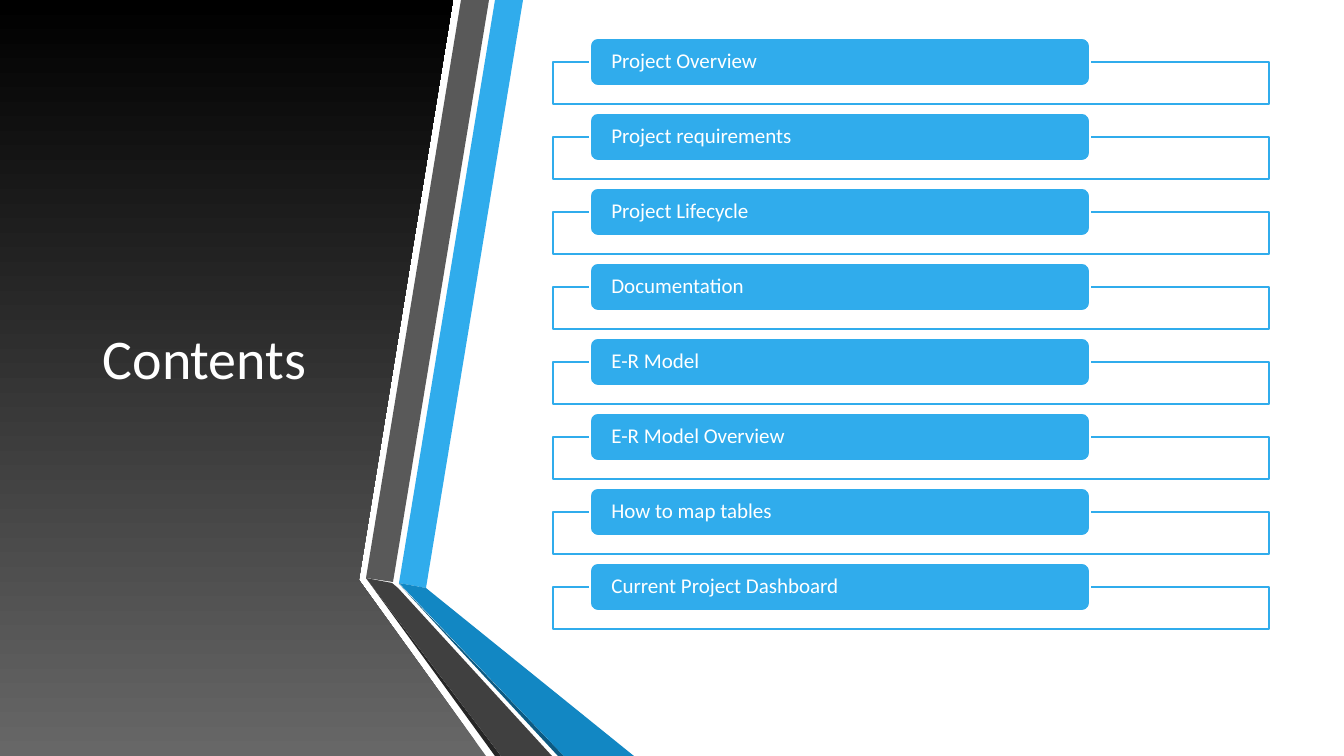
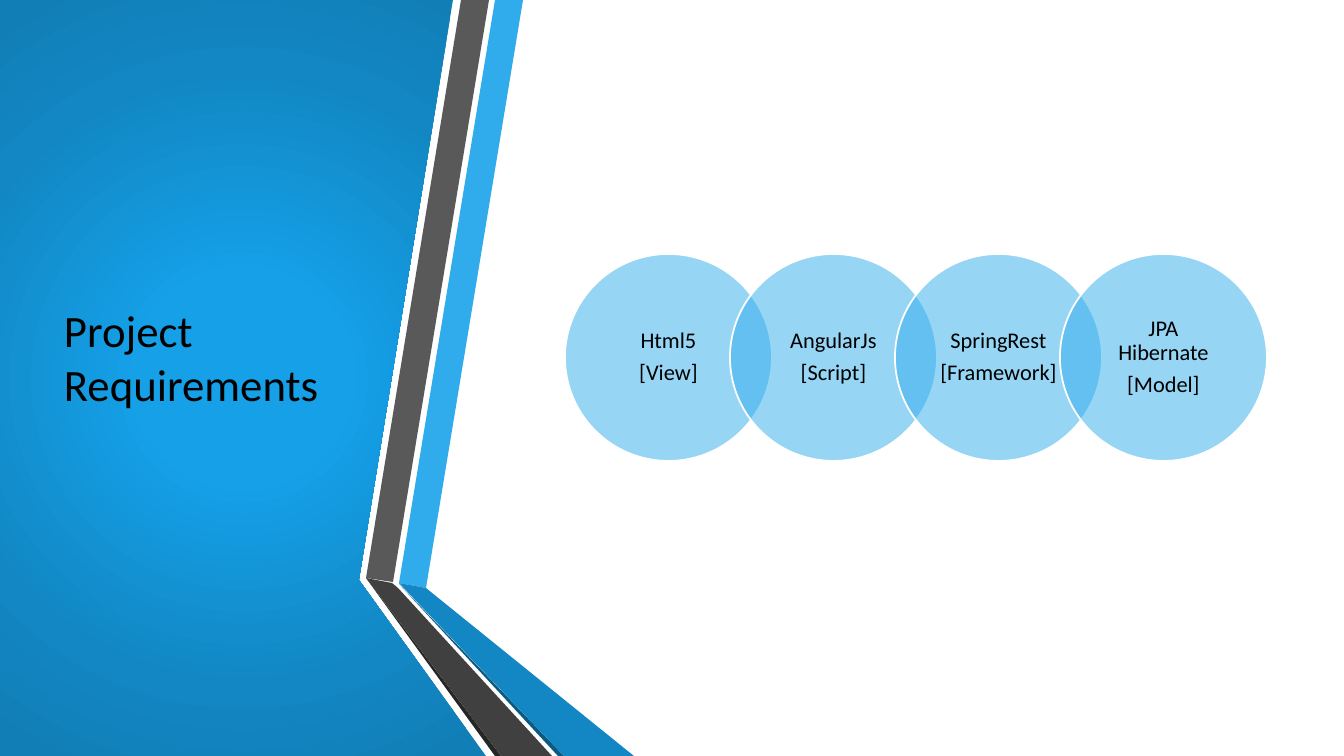
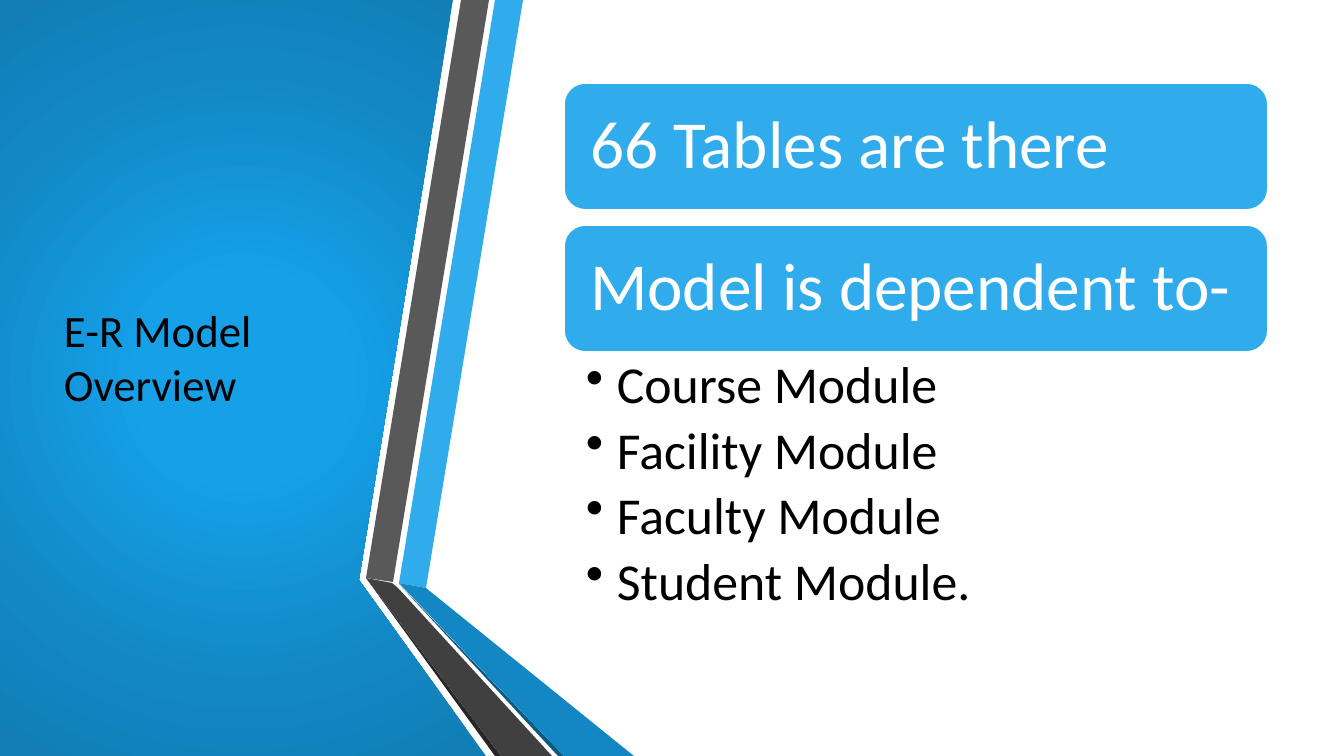
from lxml.etree import SubElement
from pptx import Presentation
from pptx.dml.color import RGBColor
from pptx.enum.shapes import MSO_SHAPE as Preset
from pptx.enum.text import MSO_ANCHOR as Anchor, PP_ALIGN as Align
from pptx.oxml import parse_xml
from pptx.oxml.ns import nsdecls, qn
from pptx.util import Pt

EMU_PER_PX = 914400 / 100.8
WIDTH, HEIGHT = 1344, 756
BLUE, WHITE, BLACK = "30ACEC", "FFFFFF", "000000"

DARK_PANEL = ([(0, "676767"), (100, BLACK)], '<a:lin ang="16200000" scaled="0"/>')
BLUE_PANEL = (
    [(0, "15A0E8"), (23, "15A0E8"), (69, "1287C3"), (97, "117EB6")],
    '<a:path path="circle"><a:fillToRect l="50000" t="50000" r="50000" b="50000"/></a:path>',
)
PANEL_OUTLINE = [(0, 0), (453, 0), (359, 580), (486, HEIGHT), (0, HEIGHT)]
RIBBONS = [
    (BLUE, [(399, 583), (426, 588), (523, 0), (495, 0)]),
    ("595959", [(489, 0), (461, 0), (366, 578), (393, 582)]),
    ("262626", [(366, 578), (495, HEIGHT), (501, HEIGHT)]),
    ("0C5A82", [(399, 584), (558, HEIGHT), (564, HEIGHT)]),
    ("1287C3", [(399, 583), (564, HEIGHT), (634, HEIGHT), (426, 588)]),
    ("404040", [(552, HEIGHT), (398, 588), (392, 583), (366, 578), (501, HEIGHT)]),
]


def px(length):
    return round(length * EMU_PER_PX)


def rgb(value):
    return RGBColor.from_string(value)


def apply(target, values):
    for name, value in values.items():
        setattr(target, name, value)


class Deck:
    def __init__(self):
        self.prs = Presentation()
        apply(self.prs, {"slide_width": px(WIDTH), "slide_height": px(HEIGHT)})
        self.slide = None

    def new_slide(self, title, panel, size=32, color=BLACK, align=Align.LEFT, box=(54, 76, 302, 562)):
        self.slide = self.prs.slides.add_slide(self.prs.slide_layouts[6])
        self.gradient(self.outline(PANEL_OUTLINE), *panel)
        for ribbon_color, points in RIBBONS:
            self.outline(points, ribbon_color)
        self.text_box(box, [title], size, color, align=align)

    def outline(self, points, fill=WHITE):
        builder = self.slide.shapes.build_freeform(*points[0], scale=EMU_PER_PX)
        builder.add_line_segments(points[1:], close=True)
        shape = builder.convert_to_shape()
        shape.shadow.inherit = False
        shape.fill.solid()
        shape.fill.fore_color.rgb = rgb(fill)
        shape.line.fill.background()
        return shape

    def gradient(self, shape, stops, direction):
        marks = "".join(
            f'<a:gs pos="{at * 1000}"><a:srgbClr val="{color}"/></a:gs>' for at, color in stops
        )
        solid = shape._element.spPr.find(qn("a:solidFill"))
        solid.getparent().replace(solid, parse_xml(
            f'<a:gradFill {nsdecls("a")} rotWithShape="1"><a:gsLst>{marks}</a:gsLst>{direction}</a:gradFill>'
        ))

    def shape(self, preset, box, fill=BLUE, line=WHITE, opacity=100):
        shape = self.slide.shapes.add_shape(preset, *map(px, box))
        shape.shadow.inherit = False
        shape.fill.solid()
        shape.fill.fore_color.rgb = rgb(fill)
        shape.line.color.rgb = rgb(line)
        shape.line.width = Pt(1.25)
        if opacity < 100:
            tint = shape._element.spPr.find(qn("a:solidFill"))[0]
            SubElement(tint, qn("a:alpha"), val=str(opacity * 1000))
        return shape

    def text_box(self, box, lines, size, color, **style):
        holder = self.slide.shapes.add_textbox(*map(px, box))
        self.set_text(holder, lines, size, color, **style)

    def set_text(self, holder, lines, size, color, align=Align.LEFT, insets=(10, 5, 10, 5),
                 anchor=Anchor.MIDDLE, spacing=None, after=0, bullet_indent=0):
        frame = holder.text_frame
        sides = ("margin_left", "margin_top", "margin_right", "margin_bottom")
        apply(frame, {"word_wrap": True, "vertical_anchor": anchor, **dict(zip(sides, map(px, insets)))})
        for index, line in enumerate(lines):
            paragraph = frame.add_paragraph() if index else frame.paragraphs[0]
            apply(paragraph, {"alignment": align, "line_spacing": spacing, "space_after": Pt(after)})
            run = paragraph.add_run()
            run.text = line
            apply(run.font, {"name": "Calibri", "size": Pt(size)})
            run.font.color.rgb = rgb(color)
            if bullet_indent:
                props = paragraph._p.get_or_add_pPr()
                props.set("marL", str(px(bullet_indent)))
                props.set("indent", str(-px(bullet_indent)))
                SubElement(props, qn("a:buChar"), char="•")


deck = Deck()

deck.new_slide("Contents", DARK_PANEL, 40, WHITE, Align.CENTER, (59, 76, 291, 562))
topics = ["Project Overview", "Project requirements", "Project Lifecycle", "Documentation",
          "E-R Model", "E-R Model Overview", "How to map tables", "Current Project Dashboard"]
for row, topic in enumerate(topics):
    top = 38 + 75 * row
    deck.shape(Preset.RECTANGLE, (553, top + 24, 716, 42), WHITE, BLUE, 90)
    label = deck.shape(Preset.ROUNDED_RECTANGLE, (590, top, 500, 48))
    deck.set_text(label, [topic], 15, WHITE, insets=(19, 0, 19, 0), spacing=0.9, after=5.4)

deck.new_slide("Project Requirements", BLUE_PANEL)
layers = [("Html5", "[View]"), ("AngularJs", "[Script]"),
          ("SpringRest", "[Framework]"), ("JPA Hibernate", "[Model]")]
for column, layer in enumerate(layers):
    circle = deck.shape(Preset.OVAL, (565 + 165 * column, 254, 207, 207), opacity=50)
    deck.set_text(circle, layer, 16, BLACK, Align.CENTER, (12, 2, 12, 2), spacing=0.9, after=5.4)

deck.new_slide("E-R Model Overview", BLUE_PANEL)
for row, statement in enumerate(["66 Tables are there", "Model is dependent to-"]):
    card = deck.shape(Preset.ROUNDED_RECTANGLE, (564, 83 + 142 * row, 704, 127))
    deck.set_text(card, [statement], 48, WHITE, insets=(20, 20, 20, 20), spacing=0.9, after=5.4)
modules = ["Course Module", "Facility Module", "Faculty Module", "Student Module."]
deck.text_box((564, 352, 704, 279), modules, 37, BLACK, insets=(22, 7, 37, 7),
              anchor=Anchor.TOP, spacing=0.9, after=6.8, bullet_indent=31)

deck.prs.save("out.pptx")
